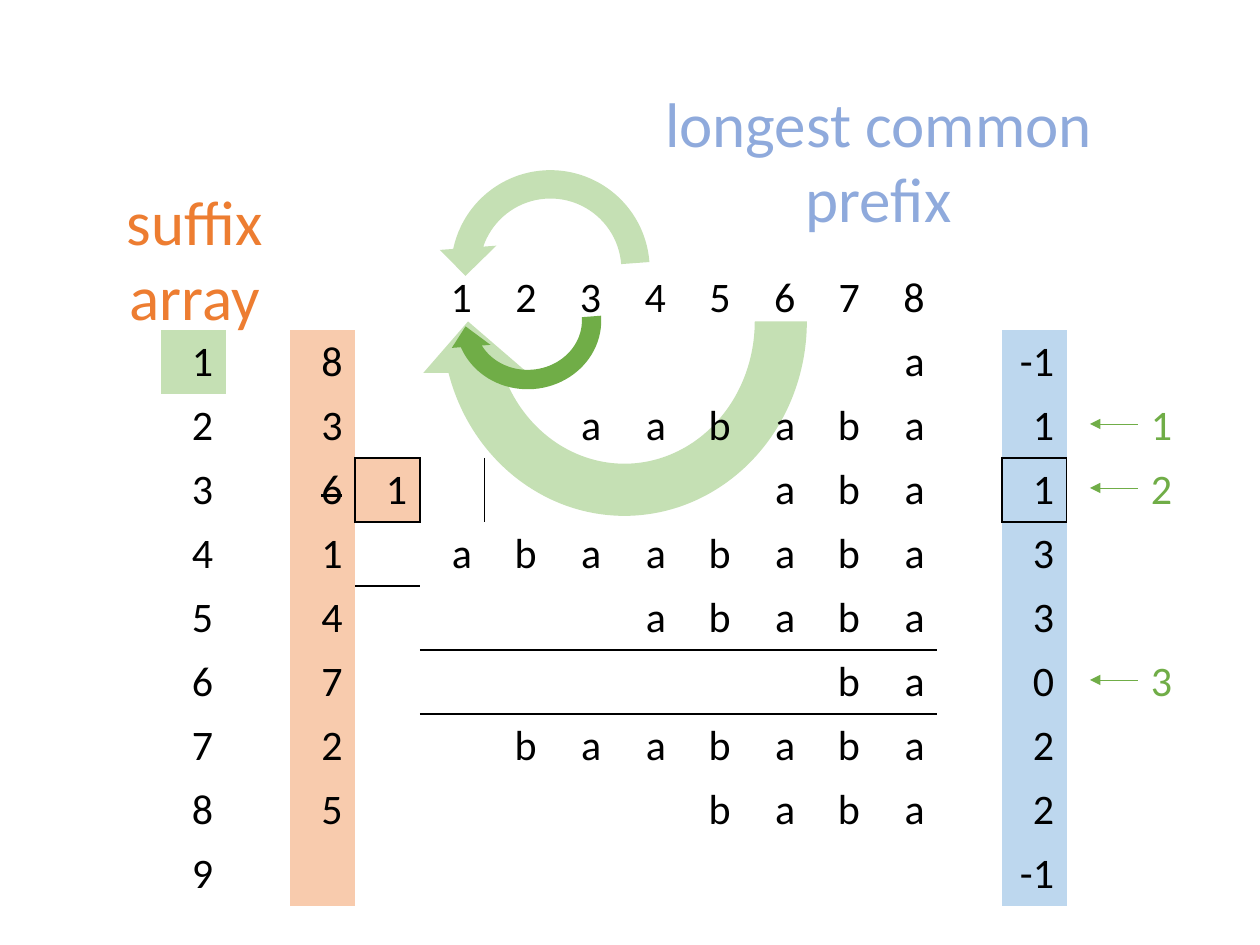
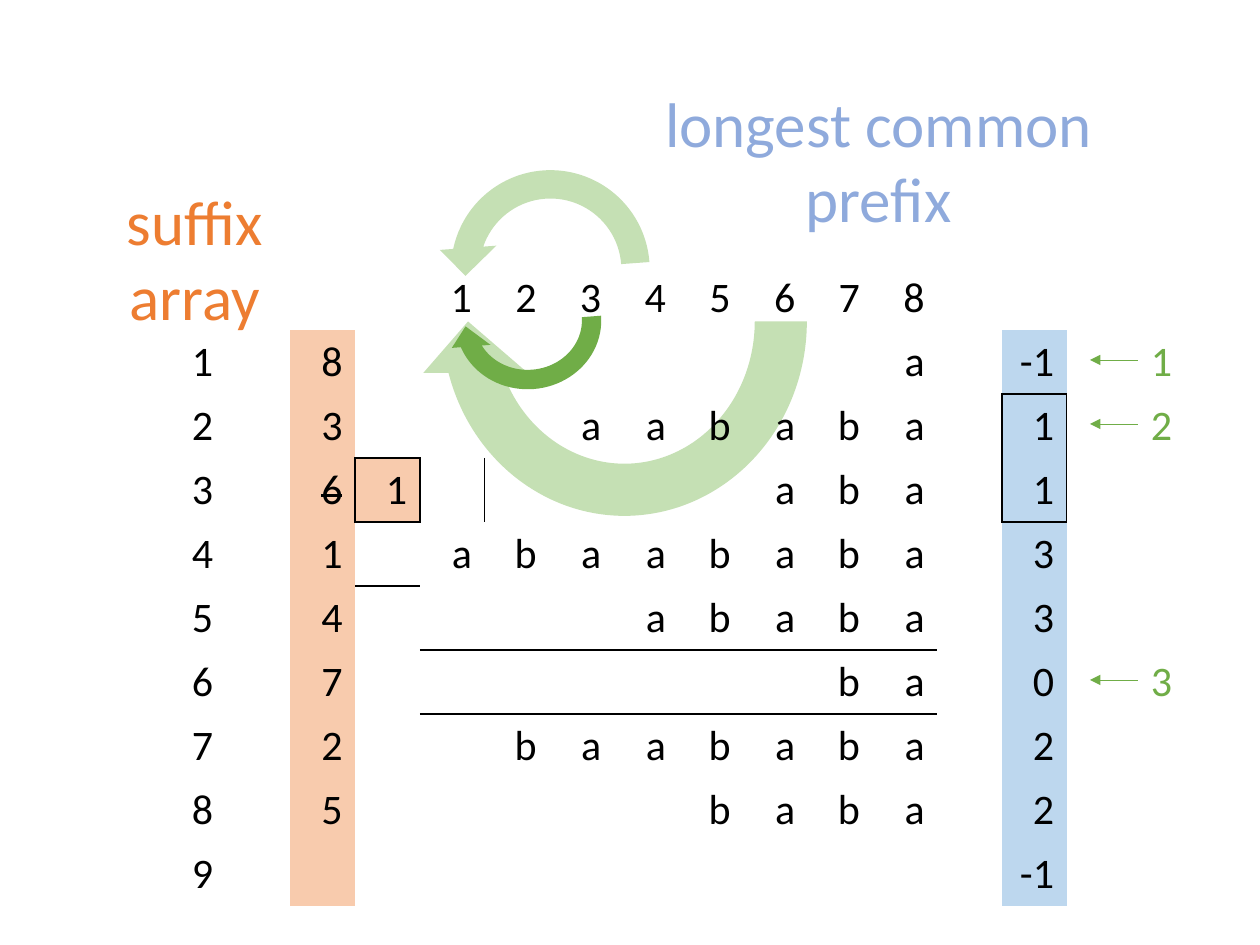
from lxml.etree import SubElement
from pptx import Presentation
from pptx.dml.color import RGBColor
from pptx.enum.shapes import MSO_CONNECTOR, MSO_SHAPE
from pptx.enum.text import MSO_ANCHOR, MSO_AUTO_SIZE, PP_ALIGN
from pptx.oxml.ns import qn
from pptx.util import Emu, Pt

PX = 914400 / 126
NO_STYLE = "{2D5ABB26-0587-4C30-8999-92F81FD0307C}"

BLACK, ORANGE, BLUE, GREEN = "000000", "ED7D31", "8FAADC", "70AD47"
PALE_ORANGE, PALE_BLUE, PALE_GREEN = "F8CBAD", "BDD7EE", "C5E0B4"

WORD = "abaababa"
SUFFIX_ARRAY = [8, 3, 6, 1, 4, 7, 2, 5]
LCP = [-1, 1, 1, 3, 3, 0, 2, 2, -1]

# Table columns
INDEX, SUFFIX, NEW_SUFFIX, FIRST_LETTER, LCP_COLUMN = 0, 2, 3, 4, 13
ROWS, COLUMNS = 10, 14
TABLE_LEFT, TABLE_TOP, TABLE_WIDTH, ROW_HEIGHT = 161, 266, 906, 64
CHANGED_ROW = 3

# left, top, width, height, rotation, flips, colour
BIG_LOOP = (416, 101, 417, 441, 0, ["flipH", "flipV"], PALE_GREEN)
SMALL_LOOPS = [
    (437, 156, 227, 227, 355.7, ["flipH"], PALE_GREEN),
    (446, 244, 165, 155, 355.5, ["flipH", "flipV"], GREEN),
]
# text, left, top, width, height, colour
HEADINGS = [
    ("suffix array", 42, 176, 305, 89, ORANGE),
    ("longest common prefix", 573, 78, 611, 89, BLUE),
]
# Each step marks the rows compared, the boxed LCP rows and a highlighted index
STEPS = [
    {"marked": [2, 3, 6], "boxed": [3], "highlight": 1},
    {"marked": [1, 2, 6], "boxed": [2, 3], "highlight": None},
]


def px(length):
    return Emu(round(length * PX))


def rgb(color):
    return RGBColor.from_string(color)


prs = Presentation()
prs.slide_width, prs.slide_height = px(1260), px(945)

# Cell contents shared by both steps, keyed by (row, column)
letters = {(0, FIRST_LETTER + i): str(i + 1) for i in range(len(WORD))}
for row, lcp in enumerate(LCP, 1):
    letters[row, INDEX] = str(row)
    letters[row, LCP_COLUMN] = str(lcp)
for row, start in enumerate(SUFFIX_ARRAY, 1):
    letters[row, SUFFIX] = str(start)
    for position in range(start - 1, len(WORD)):
        letters[row, FIRST_LETTER + position] = WORD[position]
letters[CHANGED_ROW, NEW_SUFFIX] = "1"

for step in STEPS:
    slide = prs.slides.add_slide(prs.slide_layouts[6])
    boxed = step["boxed"]

    fills = {(row, SUFFIX): PALE_ORANGE for row in range(1, ROWS)}
    fills |= {(row, LCP_COLUMN): PALE_BLUE for row in range(1, ROWS)}
    fills[CHANGED_ROW, NEW_SUFFIX] = PALE_ORANGE
    if step["highlight"]:
        fills[step["highlight"], INDEX] = PALE_GREEN

    # Every rule is the right or bottom edge of a cell
    right_edges = {(CHANGED_ROW, column) for column in (SUFFIX, NEW_SUFFIX, FIRST_LETTER)}
    right_edges |= {(row, column) for row in boxed for column in (LCP_COLUMN - 1, LCP_COLUMN)}
    bottom_edges = {(row, NEW_SUFFIX) for row in (2, 3, 4)}
    bottom_edges |= {(boxed[0] - 1, LCP_COLUMN), (boxed[-1], LCP_COLUMN)}
    bottom_edges |= {(row, FIRST_LETTER + i) for row in (5, 6) for i in range(len(WORD))}

    # The big loop lies behind the table, the small ones in front of all
    for loop in [BIG_LOOP, None, *SMALL_LOOPS]:
        if loop:
            left, top, width, height, rotation, flips, color = loop
            arc = slide.shapes.add_shape(
                MSO_SHAPE.CIRCULAR_ARROW, px(left), px(top), px(width), px(height))
            arc.rotation = rotation
            for flip in flips:
                arc._element.spPr.xfrm.set(flip, "1")
            arc.shadow.inherit = False
            arc.fill.solid()
            arc.fill.fore_color.rgb = rgb(color)
            arc.line.fill.background()
            continue

        table = slide.shapes.add_table(
            ROWS, COLUMNS, px(TABLE_LEFT), px(TABLE_TOP),
            px(TABLE_WIDTH), px(ROWS * ROW_HEIGHT)).table
        table.first_row = table.horz_banding = False
        table._tbl.tblPr.find(qn("a:tableStyleId")).text = NO_STYLE
        for column in table.columns:
            column.width = px(TABLE_WIDTH / COLUMNS)
        for row in range(ROWS):
            table.rows[row].height = px(ROW_HEIGHT)
            for column in range(COLUMNS):
                place = row, column
                cell = table.cell(row, column)
                cell.vertical_anchor = MSO_ANCHOR.MIDDLE
                for tag, edges in (("a:lnR", right_edges), ("a:lnB", bottom_edges)):
                    if place in edges:
                        rule = SubElement(cell._tc.get_or_add_tcPr(), qn(tag), w=str(Pt(1)))
                        ink = SubElement(rule, qn("a:solidFill"))
                        SubElement(ink, qn("a:srgbClr"), val=BLACK)
                if place in fills:
                    cell.fill.solid()
                    cell.fill.fore_color.rgb = rgb(fills[place])
                else:
                    cell.fill.background()
                if place in letters:
                    cell.text = letters[place]
                    entry = cell.text_frame.paragraphs[0]
                    entry.alignment = PP_ALIGN.RIGHT
                    entry.font.size = Pt(24)
                    entry.font.name = "Calibri"
                    entry.font.color.rgb = rgb(BLACK)
        replaced = table.cell(CHANGED_ROW, SUFFIX).text_frame.paragraphs[0].runs[0]
        replaced._r.get_or_add_rPr().set("strike", "sngStrike")

        marks = [(str(number), 1138, 328 + ROW_HEIGHT * (row - 1), 47, ROW_HEIGHT, GREEN)
                 for number, row in enumerate(step["marked"], 1)]
        for text, left, top, width, height, color in HEADINGS + marks:
            is_mark = color == GREEN
            label = slide.shapes.add_textbox(px(left), px(top), px(width), px(height))
            frame = label.text_frame
            frame.auto_size = MSO_AUTO_SIZE.SHAPE_TO_FIT_TEXT
            frame.word_wrap = not is_mark
            if not is_mark:
                frame.margin_left = frame.margin_right = px(20)
            frame.text = text
            caption = frame.paragraphs[0]
            caption.alignment = PP_ALIGN.CENTER
            caption.font.size = Pt(24 if is_mark else 36)
            caption.font.name = "Calibri"
            caption.font.color.rgb = rgb(color)
            if is_mark:
                middle = top + height // 2
                pointer = slide.shapes.add_connector(
                    MSO_CONNECTOR.STRAIGHT, px(left), px(middle), px(1090), px(middle))
                pointer.begin_connect(label, 1)
                pointer.line.color.rgb = rgb(GREEN)
                pointer.line.width = Pt(0.5)
                SubElement(pointer.line._get_or_add_ln(), qn("a:tailEnd"), type="triangle")
                SubElement(pointer._element.spPr, qn("a:effectLst"))

prs.save("out.pptx")
